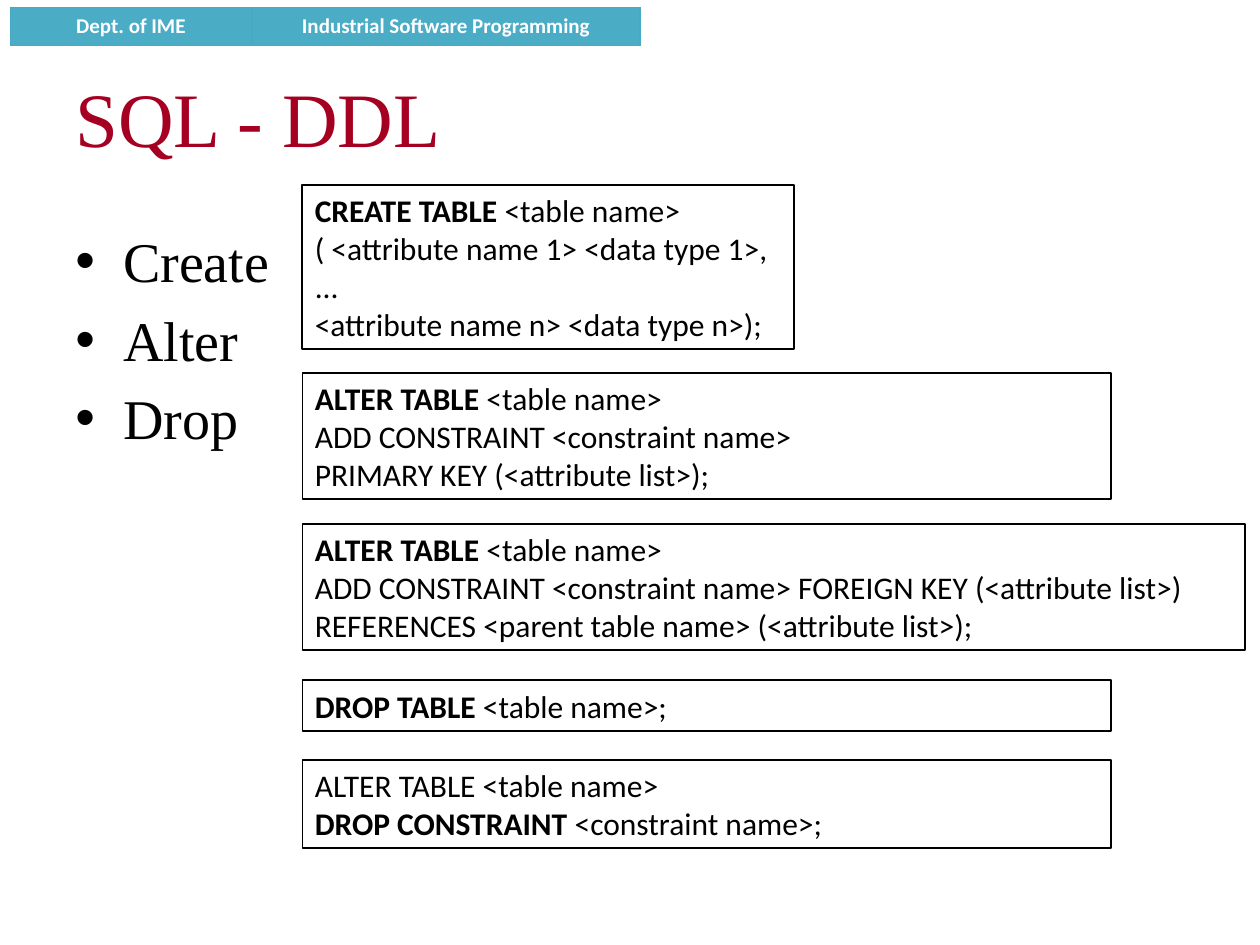
import dataclasses

import lxml.etree
import pptx
import pptx.dml.color
import pptx.enum.shapes
import pptx.enum.text
import pptx.oxml.ns
import pptx.util

RGBColor = pptx.dml.color.RGBColor
TEAL = RGBColor(0x4B, 0xAC, 0xC6)
TEAL_EDGE = RGBColor(0x46, 0xAA, 0xC5)
CRIMSON = RGBColor(0xA5, 0x00, 0x21)
BLACK = RGBColor(0, 0, 0)
WHITE = RGBColor(255, 255, 255)

WIDTH, HEIGHT = pptx.util.Inches(10), pptx.util.Inches(7.5)
COL, ROW = WIDTH / 100, HEIGHT / 75
LINE_ROWS, PADDING_ROWS = 3, 1
BOX_LEFT = 24

HEADER = {"name": "Calibri", "size": pptx.util.Pt(12), "bold": True}
TITLE = {"name": "Times New Roman", "size": pptx.util.Pt(44)}
BODY = {"name": "Times New Roman", "size": pptx.util.Pt(32)}
CODE = {"name": "Calibri", "size": pptx.util.Pt(18)}


@dataclasses.dataclass
class Line:
    keyword: str = ""
    rest: str = ""


@dataclasses.dataclass
class Syntax:
    top: float
    width: float
    lines: list[Line]


SYNTAXES = [
    Syntax(14.7, 39, [
        Line("CREATE TABLE ", "<table name>"),
        Line(rest="( <attribute name 1> <data type 1>,"),
        Line(rest="..."),
        Line(rest="<attribute name n> <data type n>);"),
    ]),
    Syntax(29.6, 64.2, [
        Line("ALTER TABLE ", "<table name>"),
        Line(rest="ADD CONSTRAINT <constraint name>"),
        Line(rest="PRIMARY KEY (<attribute list>);"),
    ]),
    Syntax(41.6, 74.8, [
        Line("ALTER TABLE ", "<table name>"),
        Line(rest="ADD CONSTRAINT <constraint name> FOREIGN KEY (<attribute list>)"),
        Line(rest="REFERENCES <parent table name> (<attribute list>);"),
    ]),
    Syntax(54, 64.2, [Line("DROP TABLE", " <table name>;")]),
    Syntax(60.3, 64.2, [
        Line(rest="ALTER TABLE <table name>"),
        Line("DROP CONSTRAINT", " <constraint name>;"),
    ]),
]


def area(left: float, top: float, width: float, height: float) -> list[int]:
    return [round(left * COL), round(top * ROW), round(width * COL), round(height * ROW)]


def sub(parent, tag: str, **attrs: str):
    return lxml.etree.SubElement(parent, pptx.oxml.ns.qn(tag), **attrs)


def add_run(p, text: str, style: dict, color: RGBColor, **extra) -> None:
    r = p.add_run()
    r.text = text
    for name, value in {**style, **extra}.items():
        setattr(r.font, name, value)
    r.font.color.rgb = color


def paragraph(tf, index: int):
    return tf.add_paragraph() if index else tf.paragraphs[0]


def draw_header(s, labels: list[str], widths: list[float]) -> None:
    frame = s.shapes.add_table(1, len(labels), *area(0.8, 0.6, sum(widths), 3))
    table = frame.table
    table.first_row = table.horz_banding = False
    for i, (label, width) in enumerate(zip(labels, widths)):
        table.columns[i].width = round(width * COL)
        cell = table.cell(0, i)
        tcPr = cell._tc.get_or_add_tcPr()
        for side in "LRTB":
            ln = sub(tcPr, f"a:ln{side}", w=str(pptx.util.Pt(0.75)))
            sub(sub(ln, "a:solidFill"), "a:srgbClr", val=str(TEAL_EDGE))
        cell.fill.solid()
        cell.fill.fore_color.rgb = TEAL
        p = cell.text_frame.paragraphs[0]
        p.alignment = pptx.enum.text.PP_ALIGN.CENTER
        add_run(p, label, HEADER, WHITE)


def draw_title(s, text: str) -> None:
    tf = s.shapes.add_textbox(*area(5, 3, 90, 12.5)).text_frame
    tf.word_wrap = True
    tf.vertical_anchor = pptx.enum.text.MSO_ANCHOR.MIDDLE
    add_run(tf.paragraphs[0], text, TITLE, CRIMSON)


def draw_bullets(s, items: list[str]) -> None:
    tf = s.shapes.add_textbox(*area(5, 17.5, 90, 49.5)).text_frame
    tf.word_wrap = True
    indent = pptx.util.Inches(0.38)
    for i, item in enumerate(items):
        p = paragraph(tf, i)
        pPr = p._p.get_or_add_pPr()
        pPr.set("marL", str(indent))
        pPr.set("indent", str(-indent))
        sub(sub(pPr, "a:spcBef"), "a:spcPct", val="20000")
        sub(pPr, "a:buFont", typeface="Arial")
        sub(pPr, "a:buChar", char="•")
        add_run(p, item, BODY, BLACK)


def draw_syntax(s, syntax: Syntax) -> None:
    height = PADDING_ROWS + LINE_ROWS * len(syntax.lines)
    sp = s.shapes.add_shape(
        pptx.enum.shapes.MSO_SHAPE.RECTANGLE,
        *area(BOX_LEFT, syntax.top, syntax.width, height),
    )
    sp.shadow.inherit = False
    sp.fill.background()
    sp.line.color.rgb = BLACK
    sp.line.width = pptx.util.Pt(1)
    tf = sp.text_frame
    tf.word_wrap = True
    tf.auto_size = pptx.enum.text.MSO_AUTO_SIZE.SHAPE_TO_FIT_TEXT
    tf.vertical_anchor = pptx.enum.text.MSO_ANCHOR.TOP
    for i, line in enumerate(syntax.lines):
        p = paragraph(tf, i)
        p.alignment = pptx.enum.text.PP_ALIGN.LEFT
        if line.keyword:
            add_run(p, line.keyword, CODE, BLACK, bold=True)
        add_run(p, line.rest, CODE, BLACK)


def main() -> None:
    prs = pptx.Presentation()
    prs.slide_width, prs.slide_height = WIDTH, HEIGHT
    s = prs.slides.add_slide(prs.slide_layouts[6])
    draw_header(s, ["Dept. of IME", "Industrial Software Programming"], [19.2, 30.8])
    draw_title(s, "SQL - DDL")
    draw_bullets(s, ["Create", "Alter", "Drop"])
    for syntax in SYNTAXES:
        draw_syntax(s, syntax)
    prs.save("out.pptx")


if __name__ == "__main__":
    main()
